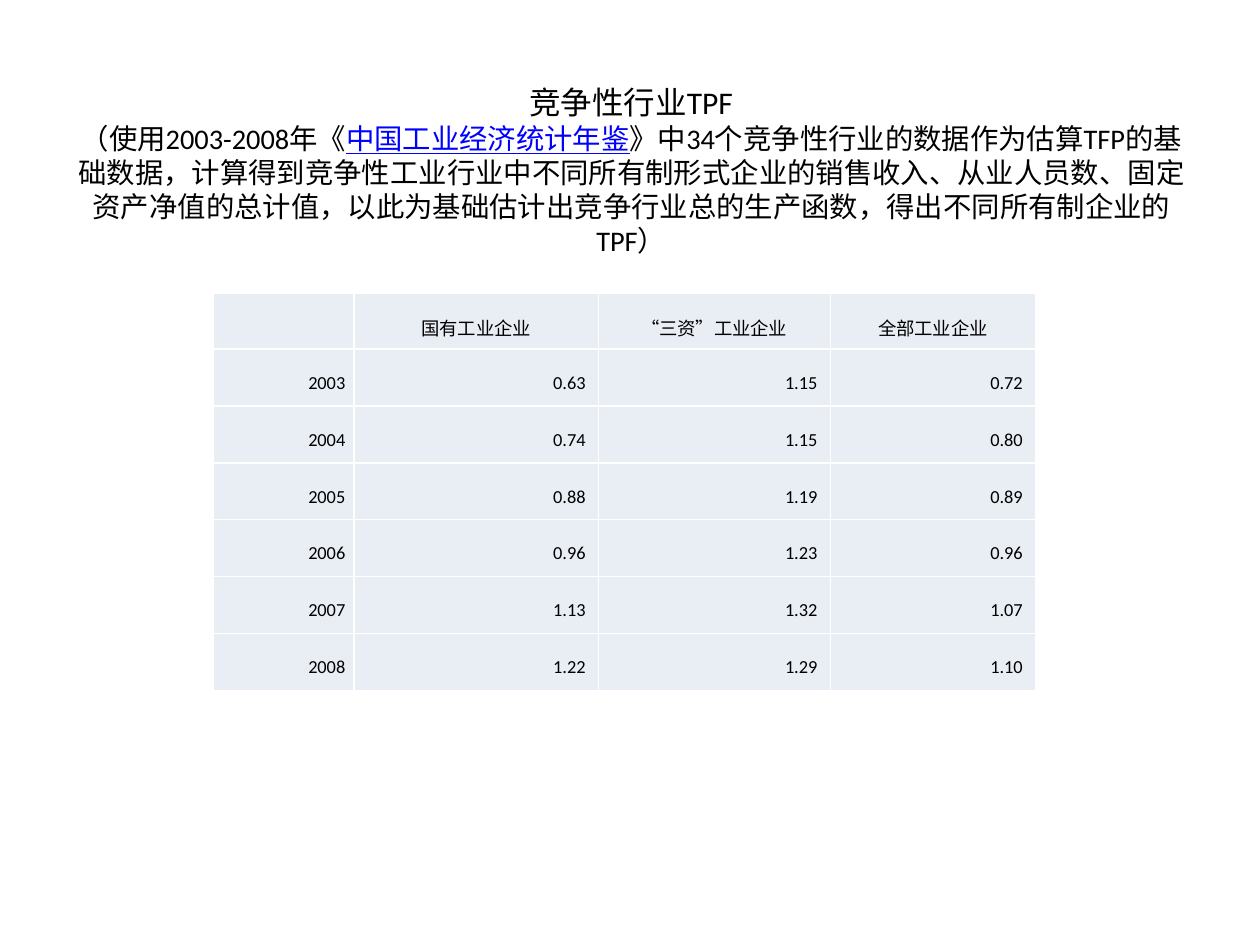
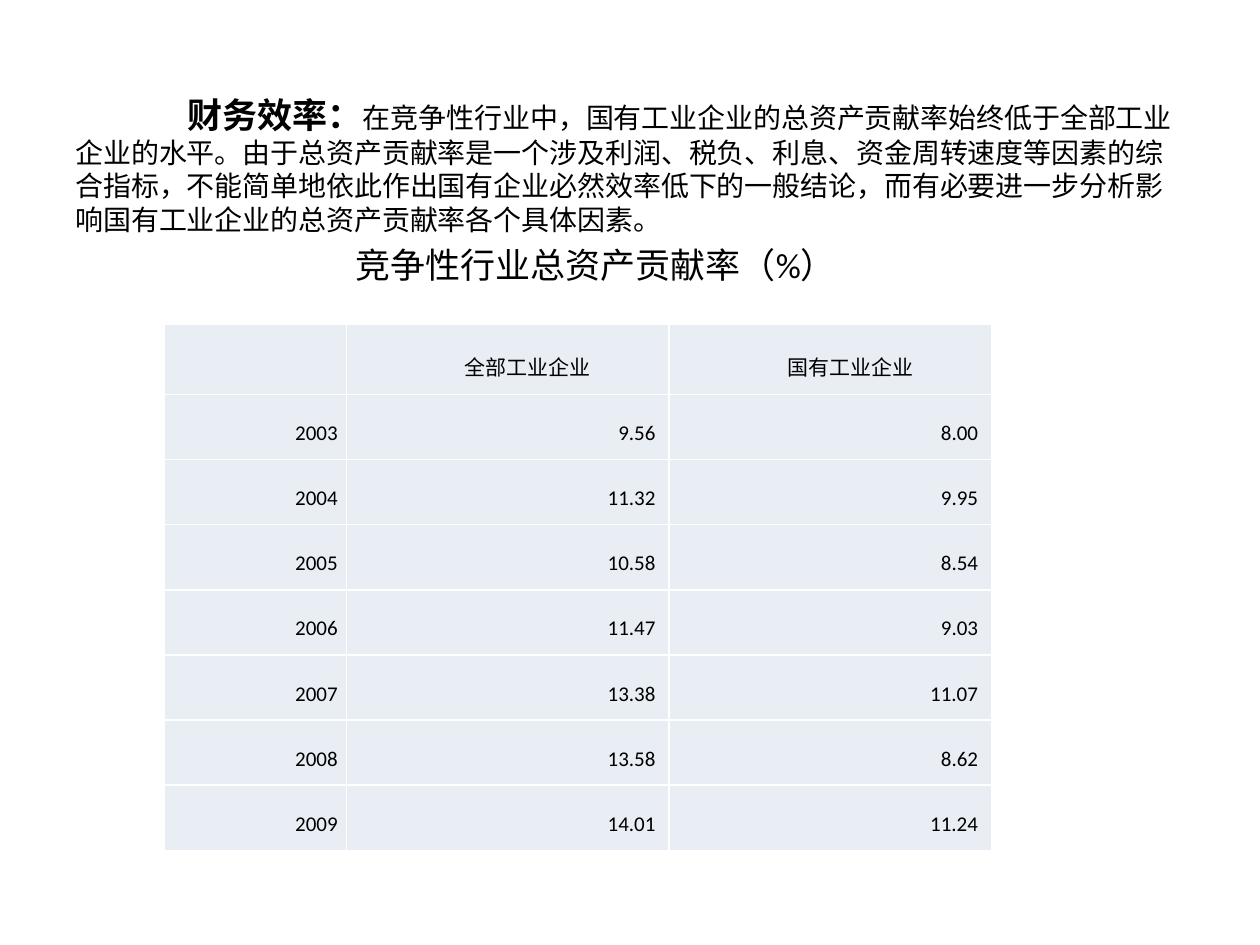
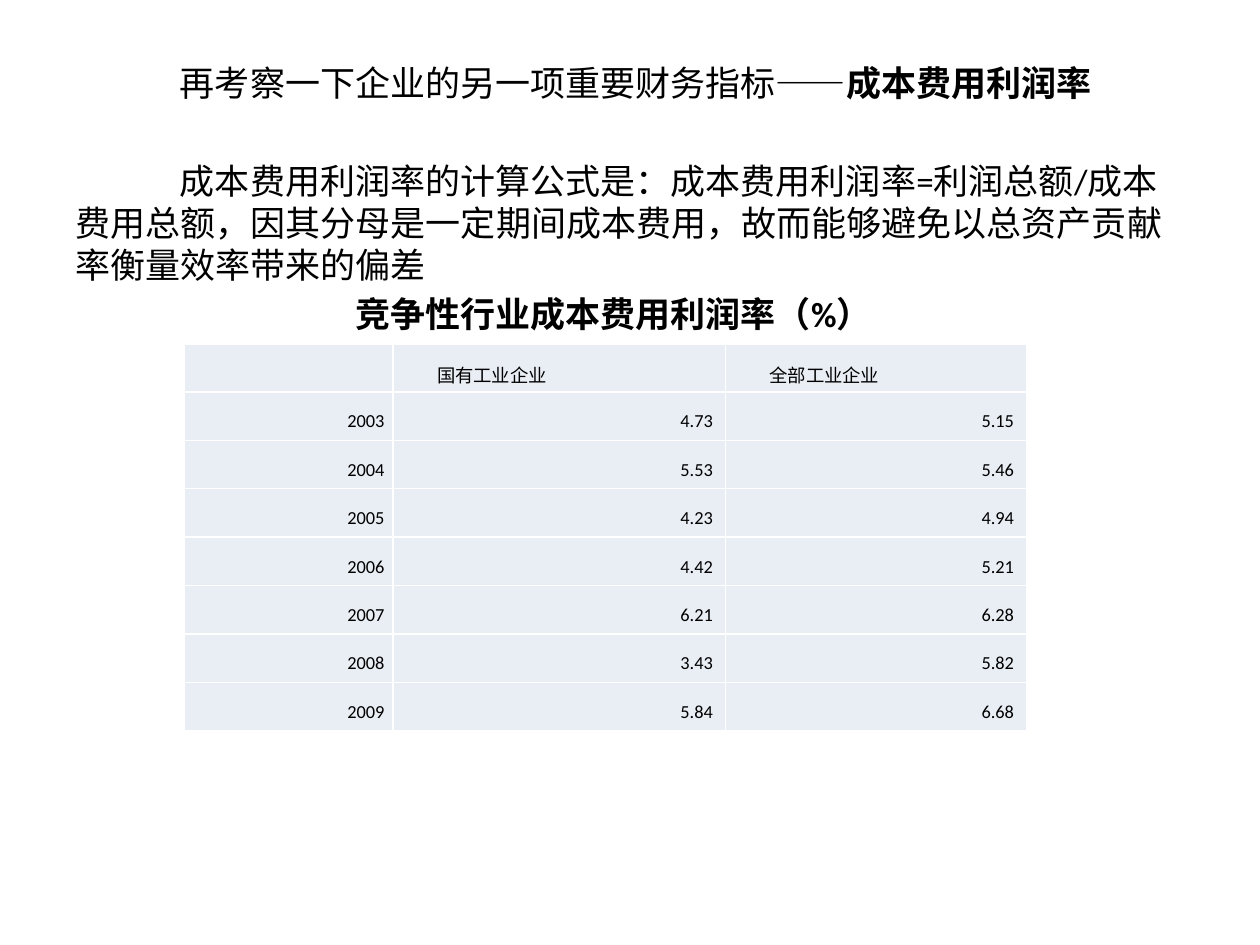
from lxml.etree import SubElement
from pptx import Presentation
from pptx.dml.color import RGBColor
from pptx.enum.text import MSO_ANCHOR as Anchor, PP_ALIGN as Align
from pptx.oxml.ns import qn
from pptx.util import Inches, Pt

# Shared style
FONT = "Calibri"
BLACK = RGBColor(0x00, 0x00, 0x00)
LINK_BLUE = RGBColor(0x00, 0x00, 0xFF)
CELL_FILL = RGBColor(0xE9, 0xED, 0xF4)
BORDER = RGBColor(0xFF, 0xFF, 0xFF)
BODY_SIZE = 20
BODY_GAP = 4
CAPTION_LEFT = 2.22


def set_font(font, size, bold=False, color=BLACK):
    font.name = FONT
    font.size = Pt(size)
    font.bold = bold
    font.color.rgb = color


def add_page(deck):
    return deck.slides.add_slide(deck.slide_layouts[6])


def add_text_box(page, left, top, width, height, anchor=Anchor.TOP):
    box = page.shapes.add_textbox(Inches(left), Inches(top), Inches(width), Inches(height))
    frame = box.text_frame
    frame.word_wrap = True
    frame.vertical_anchor = anchor
    return frame


def add_span(para, text, size=BODY_SIZE, bold=False, color=BLACK):
    span = para.add_run()
    span.text = text
    set_font(span.font, size, bold, color)
    return span


def indent_para(para, left=0, first_line=0):
    properties = para._p.get_or_add_pPr()
    properties.set("marL", str(Inches(left)))
    properties.set("indent", str(Inches(first_line)))


def add_caption(frame, text, bold=False):
    para = frame.add_paragraph()
    para.space_before = Pt(BODY_GAP)
    indent_para(para, left=CAPTION_LEFT)
    add_span(para, text, bold=bold)


def add_borders(cell):
    properties = cell._tc.get_or_add_tcPr()
    for side in ("lnL", "lnR", "lnT", "lnB"):
        line = SubElement(properties, qn(f"a:{side}"), w=str(Pt(1)))
        fill = SubElement(line, qn("a:solidFill"))
        SubElement(fill, qn("a:srgbClr"), val=str(BORDER))


def fill_cell(cell, text, size, align, first_line):
    cell.margin_left = cell.margin_right = Inches(0.07)
    cell.margin_top = cell.margin_bottom = 0
    cell.vertical_anchor = Anchor.MIDDLE
    add_borders(cell)
    cell.fill.solid()
    cell.fill.fore_color.rgb = CELL_FILL
    cell.text = text
    para = cell.text_frame.paragraphs[0]
    para.alignment = align
    para.line_spacing = 1.5
    indent_para(para, first_line=first_line)
    set_font(para.font, size)


def add_year_table(page, left, top, height, header_height, widths, headers, rows,
                   size=10.5, header_align=Align.CENTER, header_indent=0):
    """Table with a header row, then one row of values a year."""
    shape = page.shapes.add_table(len(rows) + 1, len(widths), Inches(left), Inches(top),
                                  Inches(sum(widths)), Inches(height))
    table = shape.table
    for column, width in zip(table.columns, widths):
        column.width = Inches(width)
    row_height = (height - header_height) / len(rows)
    for index, row in enumerate(table.rows):
        row.height = Inches(row_height if index else header_height)

    for column, text in enumerate(["", *headers]):
        fill_cell(table.cell(0, column), text, size, header_align, header_indent)
    for index, (year, *values) in enumerate(rows, start=1):
        texts = [str(year), *(f"{value:.2f} " for value in values)]
        for column, text in enumerate(texts):
            fill_cell(table.cell(index, column), text, size, Align.RIGHT, 0)


def build_productivity_page(deck):
    page = add_page(deck)

    # Title with the data source
    frame = add_text_box(page, 0.51, 0.68, 9, 1.34, Anchor.MIDDLE)
    para = frame.paragraphs[0]
    para.alignment = Align.CENTER
    add_span(para, "竞争性行业TPF", 18)
    para.add_line_break()
    add_span(para, "（使用2003-2008年《", 16.2)
    source = add_span(para, "中国工业经济统计年鉴", 16.2, color=LINK_BLUE)
    source.font.underline = True
    add_span(para, "》中34个竞争性行业的数据作为估算TFP的基础数据，计算得到竞争性工业行业中"
                   "不同所有制形式企业的销售收入、从业人员数、固定资产净值的总计值，以此为基础"
                   "估计出竞争行业总的生产函数，得出不同所有制企业的TPF）", 16.2)

    # Productivity by ownership
    add_year_table(
        page, 1.69, 2.33, 3.15, 0.44, [1.12, 1.94, 1.84, 1.63],
        ["国有工业企业", "“三资”工业企业", "全部工业企业"],
        [(2003, 0.63, 1.15, 0.72),
         (2004, 0.74, 1.15, 0.80),
         (2005, 0.88, 1.19, 0.89),
         (2006, 0.96, 1.23, 0.96),
         (2007, 1.13, 1.32, 1.07),
         (2008, 1.22, 1.29, 1.10)])


def build_asset_page(deck):
    page = add_page(deck)

    # Finding and table caption
    frame = add_text_box(page, 0.5, 0.52, 9, 6.18)
    frame.margin_top = Inches(0.22)
    para = frame.paragraphs[0]
    indent_para(para, first_line=0.89)
    add_span(para, "财务效率：", bold=True)
    add_span(para, "在竞争性行业中，国有工业企业的总资产贡献率始终低于全部工业企业的水平。"
                   "由于总资产贡献率是一个涉及利润、税负、利息、资金周转速度等因素的综合指标，"
                   "不能简单地依此作出国有企业必然效率低下的一般结论，而有必要进一步分析影响"
                   "国有工业企业的总资产贡献率各个具体因素。", 16)
    add_caption(frame, "竞争性行业总资产贡献率（%）")

    # Asset contribution rates
    add_year_table(
        page, 1.3, 2.57, 4.18, 0.56, [1.45, 2.56, 2.56],
        ["全部工业企业", "国有工业企业"],
        [(2003, 9.56, 8.00),
         (2004, 11.32, 9.95),
         (2005, 10.58, 8.54),
         (2006, 11.47, 9.03),
         (2007, 13.38, 11.07),
         (2008, 13.58, 8.62),
         (2009, 14.01, 11.24)],
        size=12, header_indent=0.32)


def build_cost_page(deck):
    page = add_page(deck)

    # Indicator, formula and table caption
    frame = add_text_box(page, 0.5, 0.44, 9, 6.46)
    para = frame.paragraphs[0]
    indent_para(para, first_line=0.83)
    add_span(para, "再考察一下企业的另一项重要财务指标——")
    add_span(para, "成本费用利润率", bold=True)
    para = frame.add_paragraph()
    para.space_before = Pt(32)
    indent_para(para, first_line=0.83)
    add_span(para, "成本费用利润率的计算公式是：成本费用利润率=利润总额/成本费用总额，"
                   "因其分母是一定期间成本费用，故而能够避免以总资产贡献率衡量效率带来的偏差")
    add_caption(frame, "竞争性行业成本费用利润率（%）", bold=True)

    # Profit rates on cost
    add_year_table(
        page, 1.46, 2.73, 3.07, 0.38, [1.66, 2.64, 2.39],
        ["国有工业企业", "全部工业企业"],
        [(2003, 4.73, 5.15),
         (2004, 5.53, 5.46),
         (2005, 4.23, 4.94),
         (2006, 4.42, 5.21),
         (2007, 6.21, 6.28),
         (2008, 3.43, 5.82),
         (2009, 5.84, 6.68)],
        header_align=Align.LEFT, header_indent=0.28)


def main():
    deck = Presentation()
    deck.slide_width = Inches(10)
    deck.slide_height = Inches(7.5)
    build_productivity_page(deck)
    build_asset_page(deck)
    build_cost_page(deck)
    deck.save("out.pptx")


main()
